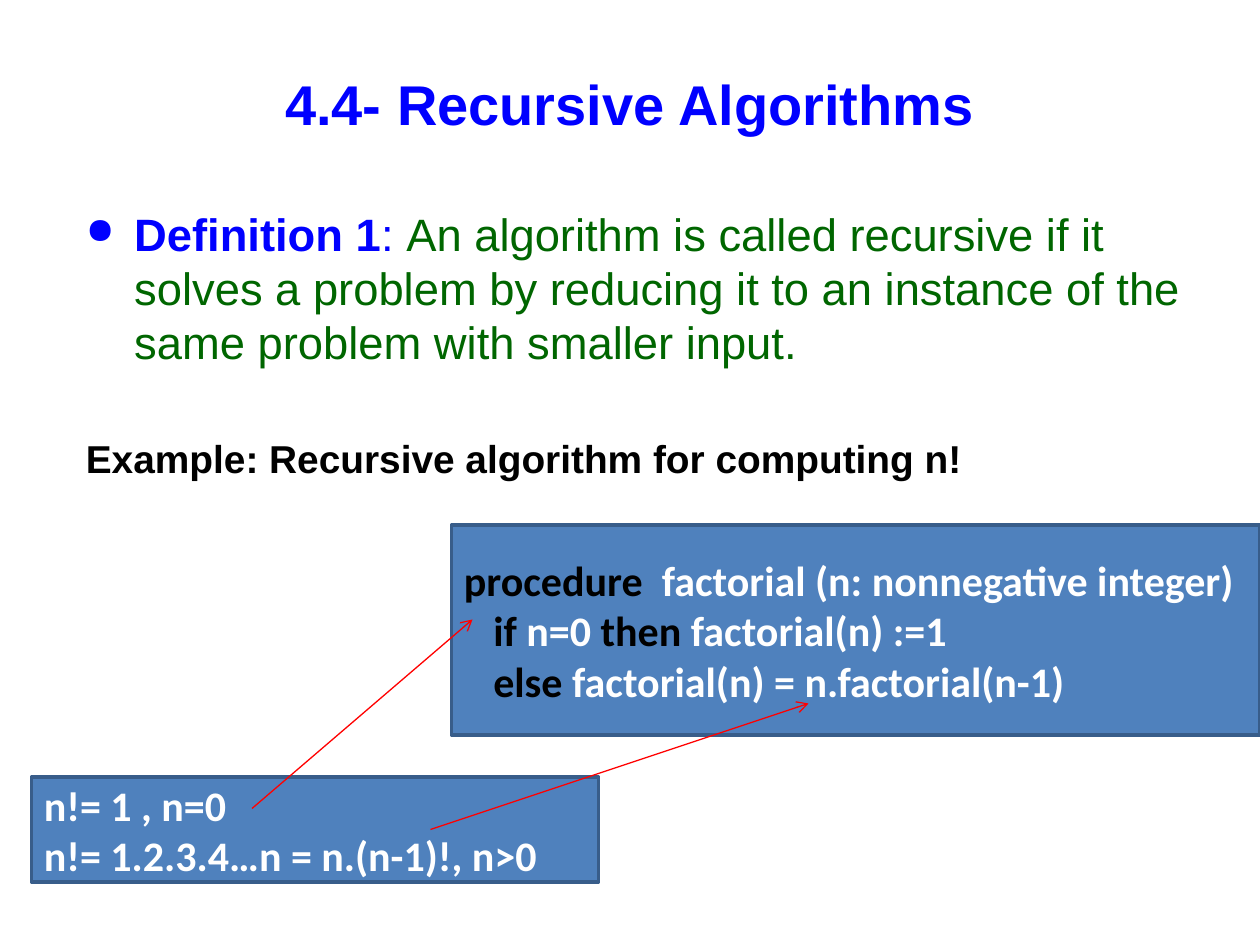
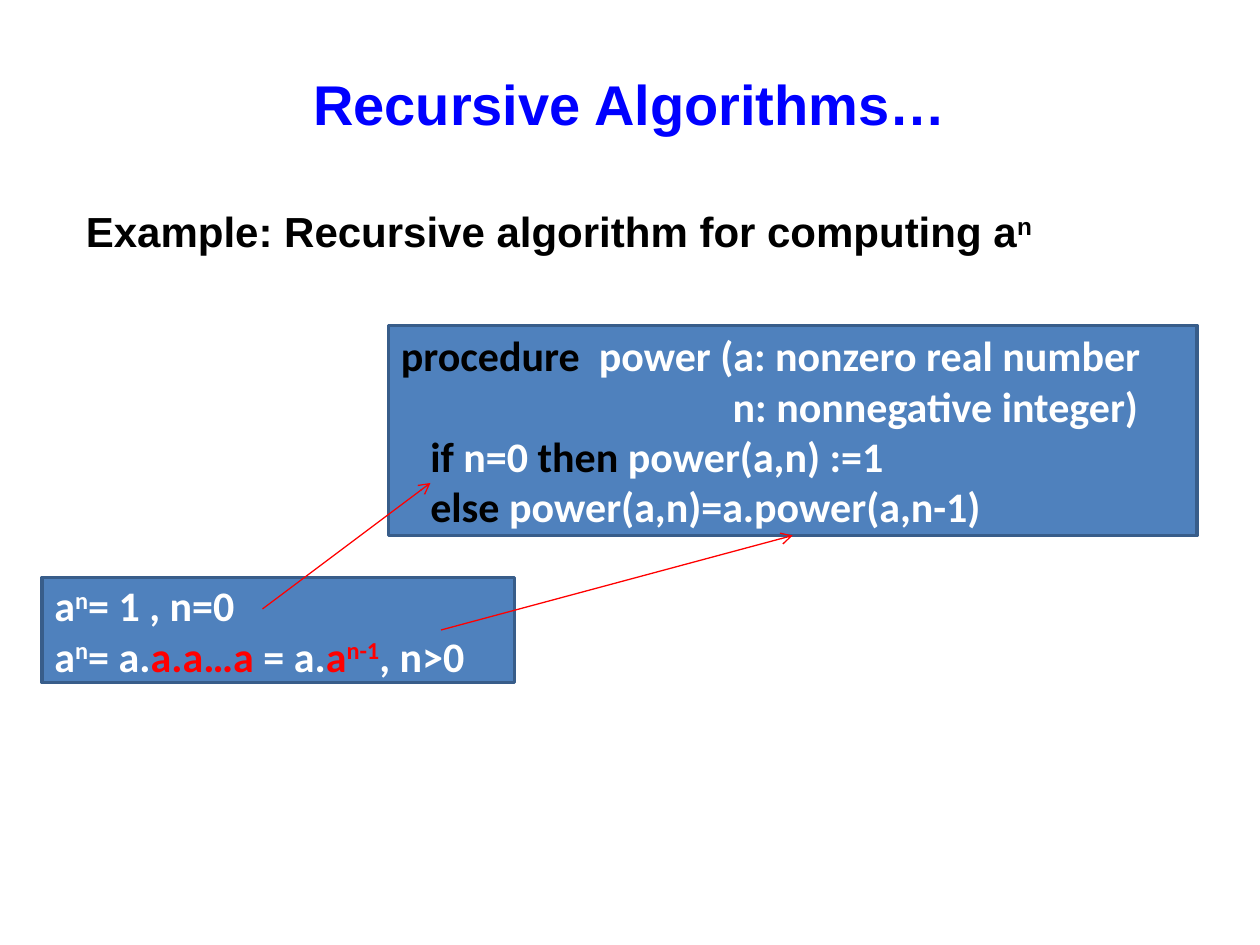
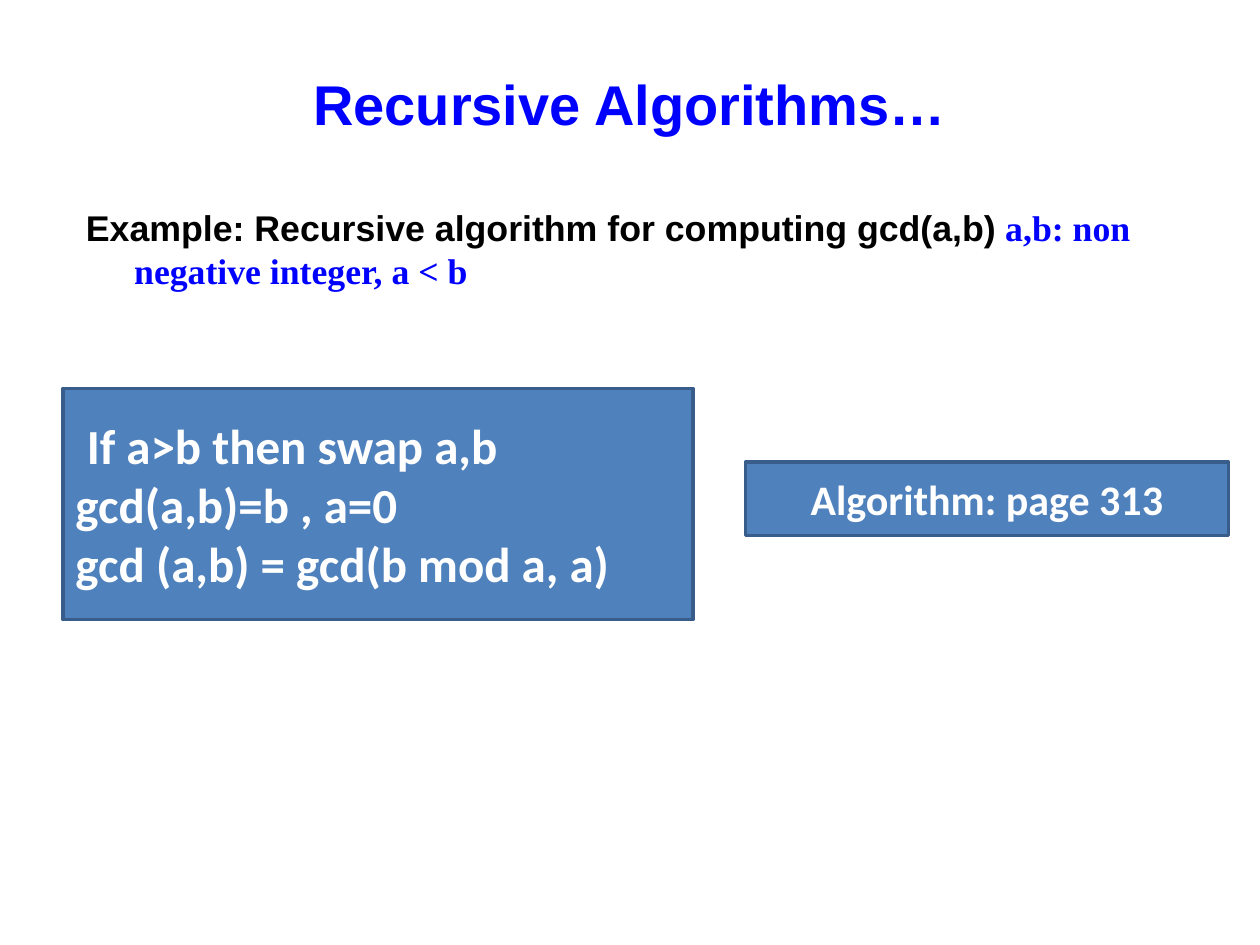
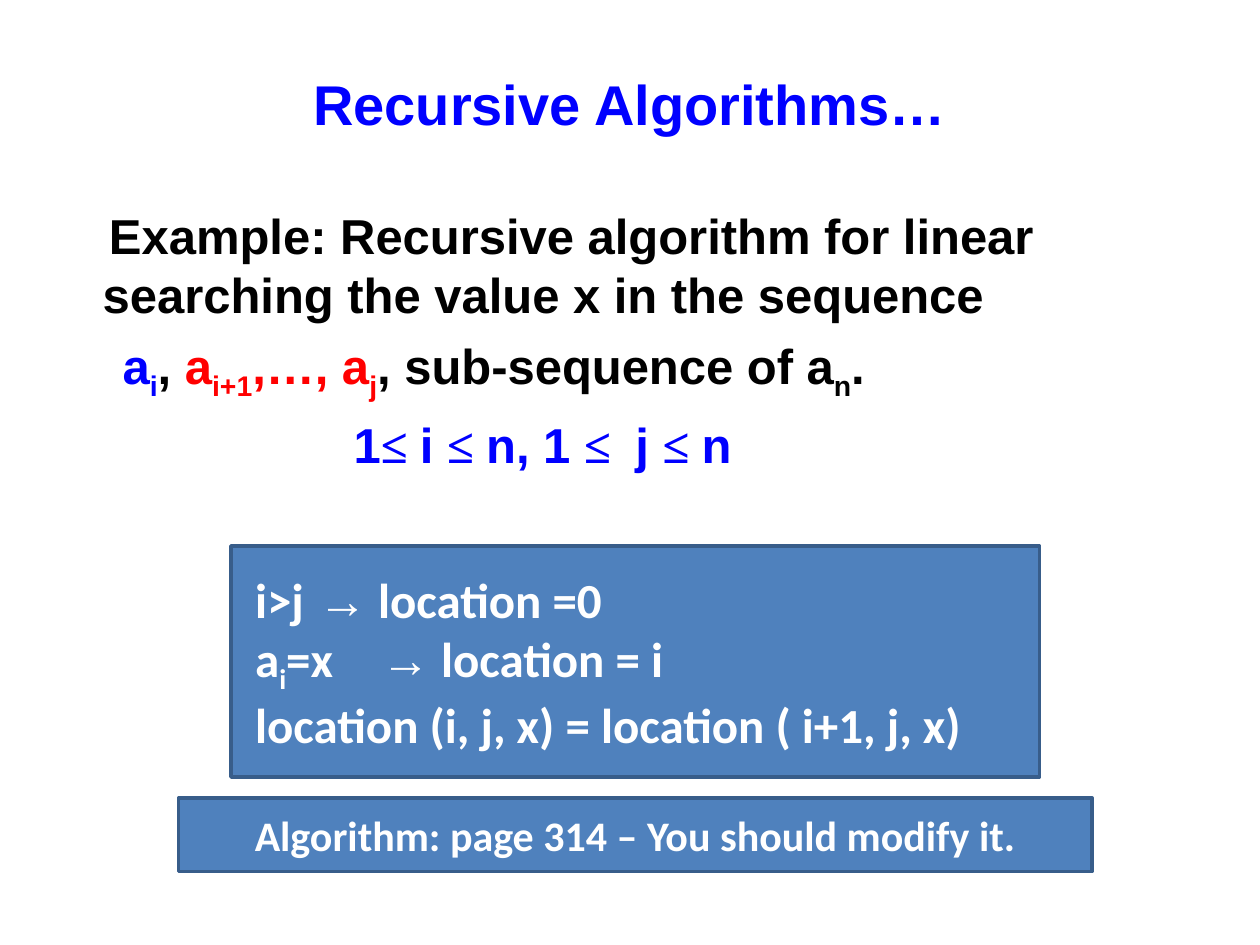
import pptx
import pptx.util
import pptx.dml.color
import pptx.enum.shapes
import pptx.enum.text
import pptx.oxml.ns
from lxml import etree

RGBColor = pptx.dml.color.RGBColor
PP_ALIGN = pptx.enum.text.PP_ALIGN
ANCHOR = pptx.enum.text.MSO_ANCHOR
qn = pptx.oxml.ns.qn

EMU_PER_PX = 7620  # 120 px to the inch

BLUE = RGBColor(0x00, 0x00, 0xFF)
GREEN = RGBColor(0x00, 0x66, 0x00)
RED = RGBColor(0xFF, 0x00, 0x00)
BLACK = RGBColor(0x00, 0x00, 0x00)
WHITE = RGBColor(0xFF, 0xFF, 0xFF)
BOX_FILL = RGBColor(0x4F, 0x81, 0xBD)
BOX_LINE = RGBColor(0x38, 0x5D, 0x8A)

TITLE = {"name": "Arial", "size": 32, "bold": True, "color": BLUE}
BODY = {"name": "Arial", "size": 24, "bold": True, "color": BLACK}
BOX = {"name": "Calibri", "size": 24, "bold": True, "color": WHITE}
BIG_BOX = BOX | {"size": 28}
KEYWORD = {"color": BLACK}
SUP = {"baseline": 30000}
SUB = {"baseline": -25000}
TIMES = {"name": "Times New Roman"}

TITLE_AT = (60, 36, 1080, 124)
BODY_LEFT, BODY_TOP, BODY_WIDTH = 70, 190, 1080
INSET = 12
HANG = 46
CODE_INDENT = 28
HANGING = {"left": HANG, "first": -HANG, "before": 6}


def px(*lengths):
    return [pptx.util.Emu(n * EMU_PER_PX) for n in lengths]


def para(*runs, **layout):
    """A paragraph: runs are strings or (string, format) pairs."""
    return runs, layout


def add_run(p, text, fmt):
    r = p.add_run()
    r.text = text
    for key, value in fmt.items():
        if key == "color":
            r.font.color.rgb = value
        elif key == "baseline":
            r._r.get_or_add_rPr().set("baseline", str(value))
        elif key == "size":
            r.font.size = pptx.util.Pt(value)
        else:
            setattr(r.font, key, value)


def sub(parent, tag, **attrs):
    el = etree.SubElement(parent, qn(tag))
    for key, value in attrs.items():
        el.set(key, str(value))
    return el


def lay_out(p, left=0, first=0, before=0, align=PP_ALIGN.LEFT, bullet=None, tab=None):
    p.alignment = align
    p.space_before = pptx.util.Pt(before)
    pPr = p._p.get_or_add_pPr()
    pPr.set("marL", str(left * EMU_PER_PX))
    pPr.set("indent", str(first * EMU_PER_PX))
    if bullet:
        sub(sub(pPr, "a:buClr"), "a:srgbClr", val=BLUE)
        sub(pPr, "a:buSzPct", val=80000)
        sub(pPr, "a:buChar", char=bullet)
    else:
        sub(pPr, "a:buNone")
    if tab:
        sub(sub(pPr, "a:tabLst"), "a:tab", pos=tab * EMU_PER_PX, algn="l")


def write(tf, paras, base, anchor):
    tf.word_wrap = True
    tf.vertical_anchor = anchor
    for i, (runs, layout) in enumerate(paras):
        p = tf.add_paragraph() if i else tf.paragraphs[0]
        lay_out(p, **layout)
        for run in runs:
            text, fmt = (run, {}) if isinstance(run, str) else run
            add_run(p, text, base | fmt)


def add_text(slide, at, paras, base=BODY, anchor=ANCHOR.TOP):
    sp = slide.shapes.add_textbox(*px(*at))
    write(sp.text_frame, paras, base, anchor)


def add_box(slide, at, paras, base=BOX, inset=INSET):
    sp = slide.shapes.add_shape(pptx.enum.shapes.MSO_SHAPE.RECTANGLE, *px(*at))
    sp.shadow.inherit = False
    sp.fill.solid()
    sp.fill.fore_color.rgb = BOX_FILL
    sp.line.color.rgb = BOX_LINE
    sp.line.width = pptx.util.Pt(2)
    write(sp.text_frame, paras, base, ANCHOR.MIDDLE)
    sp.text_frame.margin_left = px(inset)[0]


def add_arrow(slide, start, end):
    cx = slide.shapes.add_connector(
        pptx.enum.shapes.MSO_CONNECTOR.STRAIGHT, *px(*start, *end))
    cx.line.color.rgb = RED
    cx.line.width = pptx.util.Pt(0.75)
    spPr = cx._element.spPr
    sub(spPr.find(qn("a:ln")), "a:tailEnd", type="arrow")
    sub(spPr, "a:effectLst")


def add_slide(prs, title):
    slide = prs.slides.add_slide(prs.slide_layouts[6])
    add_text(slide, TITLE_AT, [para(title, align=PP_ALIGN.CENTER)], TITLE, ANCHOR.MIDDLE)
    return slide


def add_derivation(slide, rule_at, rules, procedure_at, procedure, targets):
    """Rule box with an arrow from each rule to its step in the procedure box.

    Targets are measured from the corner of the procedure box.
    """
    add_box(slide, rule_at, rules)
    add_box(slide, procedure_at, procedure)
    for (sx, sy), (tx, ty) in zip([(210, 30), (380, 50)], targets):
        add_arrow(slide, (rule_at[0] + sx, rule_at[1] + sy),
                  (procedure_at[0] + tx, procedure_at[1] + ty))


def branches(base_case, step):
    return [
        para(("if", KEYWORD), " n=0 ", ("then", KEYWORD), base_case, left=CODE_INDENT),
        para(("else", KEYWORD), step, left=CODE_INDENT),
    ]


def factorial_slide(prs):
    slide = add_slide(prs, "4.4- Recursive Algorithms")
    plain = {"size": 25.9, "bold": False}
    add_text(slide, (BODY_LEFT, BODY_TOP, BODY_WIDTH, 290), [
        para(("Definition 1", {"size": 25.9, "color": BLUE}),
             (": ", plain | {"color": BLUE}),
             ("An algorithm is called recursive if it solves a problem by reducing it "
              "to an instance of the same problem with smaller input.",
              plain | {"color": GREEN}),
             **HANGING | {"before": 7, "bullet": "●"}),
        para(("Example: Recursive algorithm for computing n!", {"size": 22.2}),
             **HANGING | {"before": 37.5}),
    ])
    add_derivation(
        slide,
        (30, 740, 540, 100),
        [para("n!= 1 , n=0"), para("n!= 1.2.3.4…n = n.(n-1)!, n>0")],
        (430, 500, 770, 200),
        [para(("procedure", KEYWORD), "  factorial (n: nonnegative integer)"),
         *branches(" factorial(n) :=1", " factorial(n) = n.factorial(n-1)")],
        [(20, 90), (340, 170)])


def power_slide(prs):
    slide = add_slide(prs, "Recursive Algorithms…")
    red = {"color": RED}
    add_text(slide, (BODY_LEFT, BODY_TOP, BODY_WIDTH, 80), [
        para("Example: Recursive algorithm for computing a", ("n", SUP), **HANGING)])
    add_derivation(
        slide,
        (40, 550, 450, 100),
        [para("a", ("n", SUP), "= 1 , n=0"),
         para("a", ("n", SUP), "= a.", ("a.a…a", red), " = a.", ("a", red),
              ("n-1", red | SUP), ", n>0")],
        (370, 310, 770, 200),
        [para(("procedure", KEYWORD), "  power (a: nonzero real number"),
         para("n: nonnegative integer)", left=316),
         *branches(" power(a,n) :=1", " power(a,n)=a.power(a,n-1)")],
        [(40, 150), (385, 200)])


def gcd_slide(prs):
    slide = add_slide(prs, "Recursive Algorithms…")
    add_text(slide, (BODY_LEFT, BODY_TOP, BODY_WIDTH, 140), [
        para("Example: Recursive algorithm for computing gcd(a,b)",
             (" a,b: non negative integer, a < b", TIMES | {"color": BLUE}), **HANGING),
    ], BODY | {"size": 20.4})
    add_box(slide, (60, 370, 600, 220), [
        para("If a>b then swap a,b", left=11),
        para("gcd(a,b)=b , a=0"),
        para("gcd (a,b) = gcd(b mod a, a)"),
    ], BIG_BOX)
    add_box(slide, (710, 440, 460, 70),
            [para("Algorithm: page 313", align=PP_ALIGN.CENTER)])


def search_slide(prs):
    slide = add_slide(prs, "Recursive Algorithms…")
    blue, red = {"color": BLUE}, {"color": RED}
    bounds = [("1", blue), ("≤ ", blue | TIMES), ("i ", blue), ("≤ ", blue | TIMES),
              ("n, 1 ", blue), ("≤  ", blue | TIMES), ("j ", blue),
              ("≤ ", blue | TIMES), ("n", blue)]
    add_text(slide, (40, BODY_TOP, 1130, 280), [
        para("Example: Recursive algorithm for linear searching the value x in the sequence",
             left=HANG, first=6, before=7),
        para(("a", blue), ("i", blue | SUB), ", ", ("a", red), ("i+1", red | SUB),
             (",…, a", red), ("j", red | SUB), ", sub-sequence of a", ("n", SUB), ".",
             left=65, before=7),
        para(*bounds, left=285, before=7),
    ], BODY | {"size": 28})
    arrow = ("→", {"name": "Arial"})
    add_box(slide, (220, 520, 770, 220), [
        para("i>j\t", arrow, " location =0", tab=118),
        para("a", ("i", SUB), "=x\t", arrow, " location = i", tab=118),
        para("location (i, j, x) = location ( i+1, j, x)"),
    ], BIG_BOX, inset=INSET + 11)
    add_box(slide, (170, 760, 870, 70),
            [para("Algorithm: page 314 – You should modify it.", align=PP_ALIGN.CENTER)])


def main():
    prs = pptx.Presentation()
    prs.slide_width, prs.slide_height = px(1200, 900)
    for build in (factorial_slide, power_slide, gcd_slide, search_slide):
        build(prs)
    prs.save("out.pptx")


if __name__ == "__main__":
    main()
